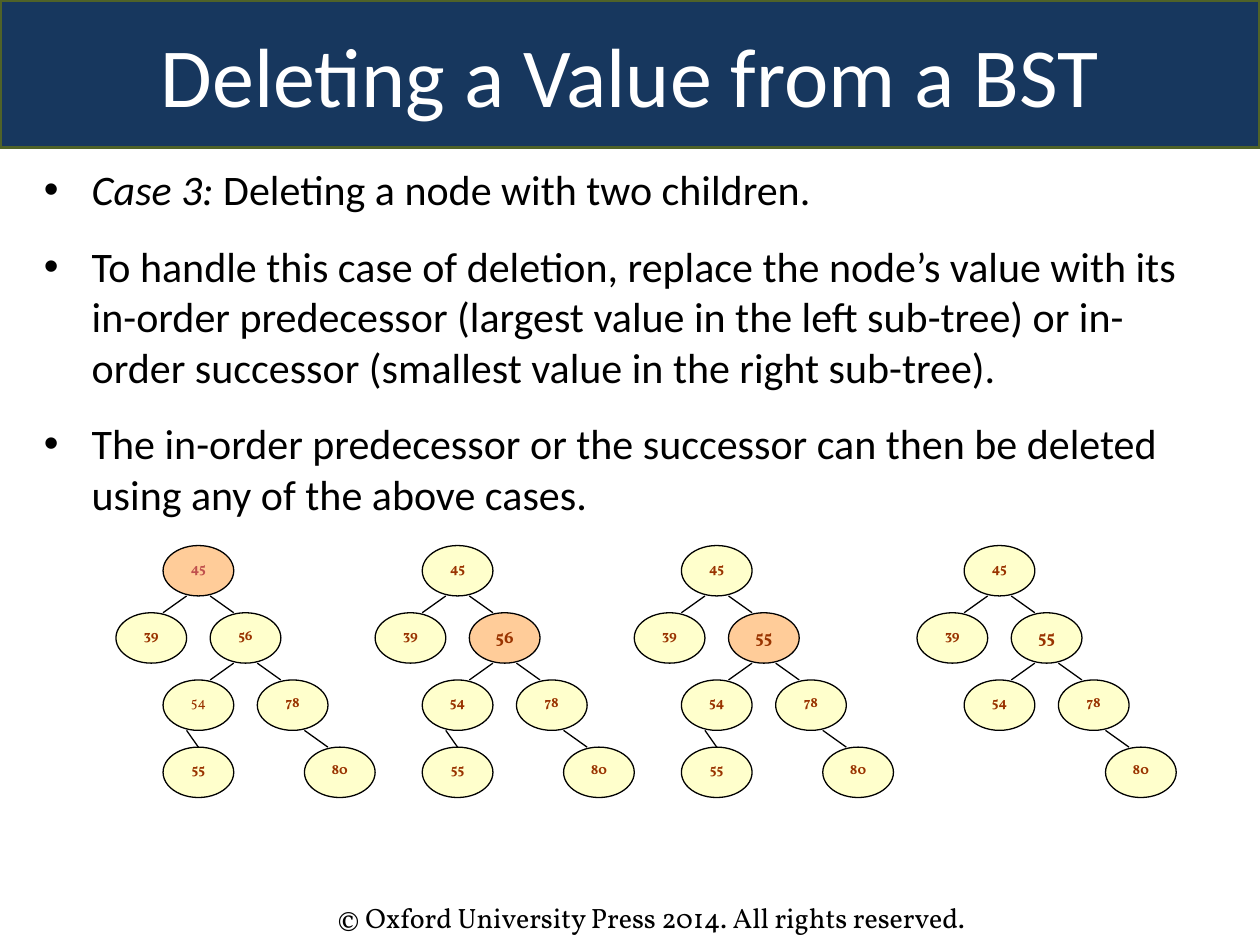
from lxml.etree import SubElement
from pptx import Presentation
from pptx.dml.color import RGBColor
from pptx.enum.shapes import MSO_CONNECTOR as Connector, MSO_SHAPE as Shape
from pptx.enum.text import MSO_ANCHOR as Anchor, PP_ALIGN as Align
from pptx.oxml.ns import qn
from pptx.util import Inches, Pt


def color(value):
    return RGBColor.from_string(value)


def write(paragraph, text, ink, **formats):
    run = paragraph.add_run()
    run.text = text
    run.font.color.rgb = color(ink)
    for name, value in formats.items():
        setattr(run.font, name, value)


presentation = Presentation()
presentation.slide_width = Inches(10)
presentation.slide_height = Inches(7.5)
slide = presentation.slides.add_slide(presentation.slide_layouts[6])

footer = slide.shapes.add_textbox(Inches(2.58), Inches(7.1), Inches(5.92), Inches(0.37))
footer.text_frame.word_wrap = True
write(footer.text_frame.paragraphs[0], "© Oxford University Press 2014. All rights reserved.",
      "000000", size=Pt(16), name="Vollkorn")

title = slide.shapes.add_shape(Shape.ROUNDED_RECTANGLE, 0, 0, presentation.slide_width, Inches(1.17))
title.adjustments[0] = 0
title.shadow.inherit = False
title.fill.solid()
title.fill.fore_color.rgb = color("17375E")
title.line.color.rgb = color("4F6228")
title.line.width = Pt(2)
title.text_frame.vertical_anchor = Anchor.MIDDLE
title.text_frame.paragraphs[0].alignment = Align.CENTER
write(title.text_frame.paragraphs[0], "Deleting a Value from a BST",
      "FFFFFF", size=Pt(48), name="Calibri")

column = Inches(0.187)
row = Inches(0.4) / 3
trees_left = Inches(0.92)
trees_top = Inches(4.33)

places = {
    "root": (2, 0, None),
    "left": (0, 4, "root"),
    "right": (4, 4, "root"),
    "right right": (6, 8, "right"),
    "right left": (2, 8, "right"),
    "predecessor": (2, 12, "right left"),
    "last": (8, 12, "right right"),
}
full_tree = {"root": "45", "left": "39", "right": "56", "right right": "78",
             "right left": "54", "predecessor": "55", "last": "80"}
replaced_tree = {**full_tree, "right": "55"}
final_tree = {place: value for place, value in replaced_tree.items() if place != "predecessor"}
plain = {"size": Pt(8), "bold": True}
large = {"right": {"size": Pt(10)}}
trees = [
    (0, full_tree, "root", {"root": {"ink": "C0504D"}, "right left": {"bold": False}}),
    (11, full_tree, "right", large),
    (22, replaced_tree, "right", large),
    (34, final_tree, None, large),
]

for tree_column, values, highlighted, changes in trees:
    tree = slide.shapes.add_group_shape()
    for place, value in values.items():
        node_column, node_row, parent = places[place]
        left = round(trees_left + (tree_column + node_column) * column)
        top = round(trees_top + node_row * row)
        if parent:
            parent_column, parent_row, _ = places[parent]
            start, end = (2, 1) if node_column > parent_column else (1, 2)
            drop = row if place == "predecessor" else 0
            edge = tree.shapes.add_connector(
                Connector.STRAIGHT,
                round(trees_left + (tree_column + parent_column + start) * column),
                round(trees_top + (parent_row + 3) * row),
                round(left + end * column), round(top + drop))
            edge.line.color.rgb = color("000000")
            edge.line.width = Pt(0.75)
            SubElement(edge._element.spPr, qn("a:effectLst"))
        node = tree.shapes.add_shape(Shape.OVAL, left, top, 3 * column, round(3 * row))
        node.shadow.inherit = False
        node.fill.solid()
        node.fill.fore_color.rgb = color("FFCC99" if place == highlighted else "FFFFCC")
        node.line.color.rgb = color("000000")
        node.line.width = Pt(0.75)
        node.text_frame.vertical_anchor = Anchor.TOP
        node.text_frame.paragraphs[0].alignment = Align.CENTER
        formats = {"ink": "993300", "name": "Vollkorn", **plain, **changes.get(place, {})}
        write(node.text_frame.paragraphs[0], value, **formats)

points = [
    [("Case 3:", True), (" Deleting a node with two children.", False)],
    [("To handle this case of deletion, replace the node’s value with its in-order predecessor "
      "(largest value in the left sub-tree) or in-order successor "
      "(smallest value in the right sub-tree).", False)],
    [("The in-order predecessor or the successor can then be deleted "
      "using any of the above cases.", False)],
]
body = slide.shapes.add_textbox(Inches(0.25), Inches(1.25), Inches(9.33), Inches(2.92))
body.text_frame.word_wrap = True
for index, point in enumerate(points):
    paragraph = body.text_frame.paragraphs[0] if index == 0 else body.text_frame.add_paragraph()
    paragraph.space_before = Pt(15 if index else 0)
    properties = paragraph._p.get_or_add_pPr()
    properties.set("marL", str(Inches(0.38)))
    properties.set("indent", str(-Inches(0.38)))
    SubElement(SubElement(properties, qn("a:buClr")), qn("a:srgbClr"), val="000000")
    SubElement(properties, qn("a:buFont"), typeface="Arial")
    SubElement(properties, qn("a:buChar"), char="•")
    for text, italic in point:
        write(paragraph, text, "000000", size=Pt(24), name="Calibri", italic=italic)

presentation.save("out.pptx")
